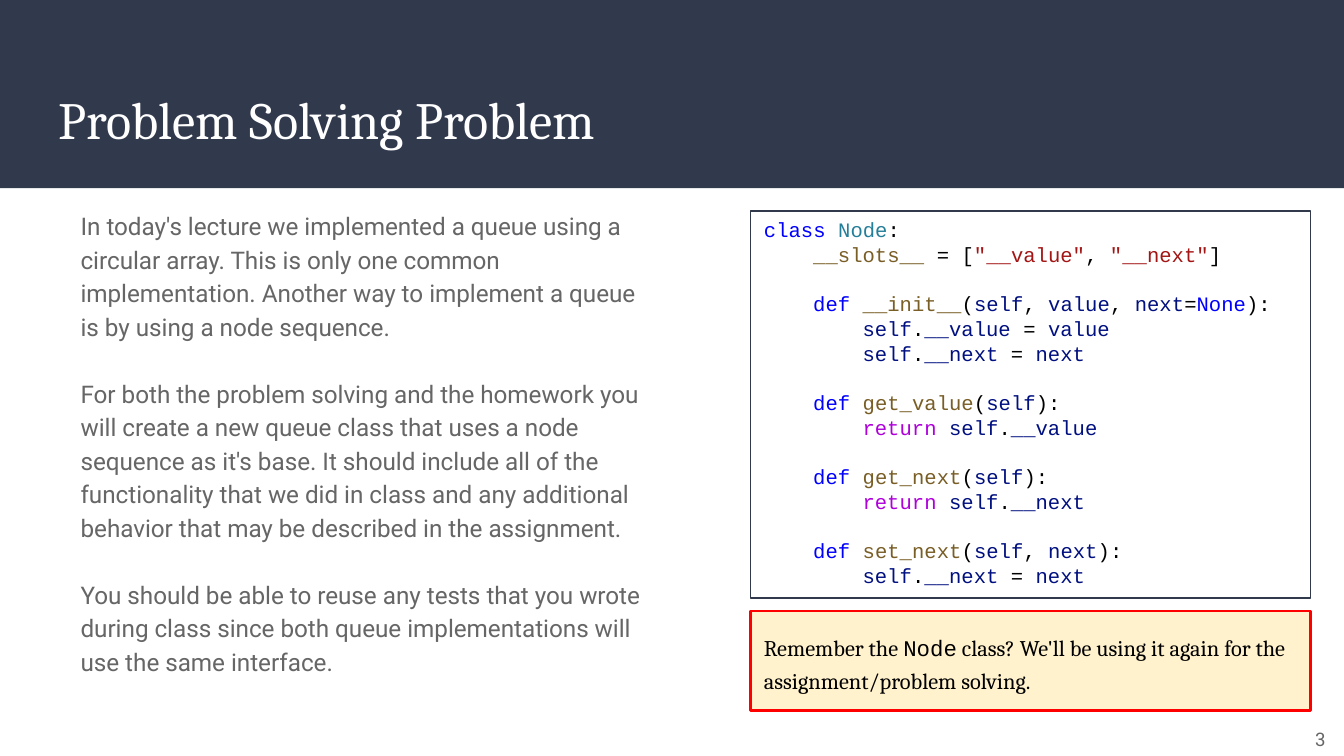
from itertools import groupby

from pptx import Presentation
from pptx.dml.color import RGBColor
from pptx.enum.shapes import MSO_SHAPE
from pptx.enum.text import MSO_ANCHOR, PP_ALIGN
from pptx.util import Pt

RECTANGLE = MSO_SHAPE.RECTANGLE
TOP, MIDDLE = MSO_ANCHOR.TOP, MSO_ANCHOR.MIDDLE
LEFT, RIGHT = PP_ALIGN.LEFT, PP_ALIGN.RIGHT

SERIF, SANS, MONO = "Cambria", "Roboto", "Courier New"

WHITE = RGBColor(0xFF, 0xFF, 0xFF)
BLACK = RGBColor(0x00, 0x00, 0x00)
SLATE = RGBColor(0x31, 0x39, 0x4D)
GREY = RGBColor(0x66, 0x66, 0x66)
CREAM = RGBColor(0xFF, 0xF2, 0xCC)
RED = RGBColor(0xFF, 0x00, 0x00)

# Syntax colours
KEYWORD = RGBColor(0x00, 0x00, 0xFF)
CONTROL = RGBColor(0xAF, 0x00, 0xDB)
CLASS_NAME = RGBColor(0x26, 0x7F, 0x99)
FUNCTION = RGBColor(0x79, 0x5E, 0x26)
VARIABLE = RGBColor(0x00, 0x10, 0x80)
STRING = RGBColor(0xA3, 0x15, 0x15)

SYNTAX = {
    KEYWORD: ("class", "def", "None"),
    CONTROL: ("return",),
    CLASS_NAME: ("Node",),
    FUNCTION: ("__slots__", "__init__", "get_value", "get_next", "set_next"),
    VARIABLE: ("self", "value", "next", "__value", "__next"),
    STRING: ('"__value"', '"__next"'),
}
TOKEN_COLORS = {word: color for color, words in SYNTAX.items() for word in words}

NODE_CODE = """\
class Node:
    __slots__ = ["__value", "__next"]

    def __init__(self, value, next=None):
        self.__value = value
        self.__next = next

    def get_value(self):
        return self.__value

    def get_next(self):
        return self.__next

    def set_next(self, next):
        self.__next = next"""
CODE_SIZE = 11
CODE_CHAR_WIDTH = 0.6 * CODE_SIZE
CODE_LINE = Pt(13.2)

INSTRUCTIONS = (
    "In today's lecture we implemented a queue using a circular array. This is "
    "only one common implementation. Another way to implement a queue is by "
    "using a node sequence.",
    "For both the problem solving and the homework you will create a new queue "
    "class that uses a node sequence as it's base. It should include all of the "
    "functionality that we did in class and any additional behavior that may be "
    "described in the assignment.",
    "You should be able to reuse any tests that you wrote during class since both "
    "queue implementations will use the same interface.",
)


def set_frame(shape, anchor, inset_x=7.2, inset_y=7.2):
    frame = shape.text_frame
    frame.word_wrap = True
    frame.vertical_anchor = anchor
    frame.margin_left = frame.margin_right = Pt(inset_x)
    frame.margin_top = frame.margin_bottom = Pt(inset_y)
    return frame


def set_font(font, name, size, color):
    font.name = name
    font.size = Pt(size)
    font.color.rgb = color


def add_panel(slide, left, top, width, height, fill=None, line=None, weight=0.75):
    panel = slide.shapes.add_shape(RECTANGLE, Pt(left), Pt(top), Pt(width), Pt(height))
    panel.shadow.inherit = False
    if fill is None:
        panel.fill.background()
    else:
        panel.fill.solid()
        panel.fill.fore_color.rgb = fill
    if line is None:
        panel.line.fill.background()
    else:
        panel.line.color.rgb = line
        panel.line.width = Pt(weight)
    return panel


def add_text(slide, left, top, width, height, texts, font, size, color,
             anchor=TOP, align=LEFT):
    box = slide.shapes.add_textbox(Pt(left), Pt(top), Pt(width), Pt(height))
    frame = set_frame(box, anchor)
    for index, text in enumerate(texts):
        paragraph = frame.add_paragraph() if index else frame.paragraphs[0]
        paragraph.text = text
        paragraph.alignment = align
        set_font(paragraph.font, font, size, color)
    return frame


def write_code(frame, code):
    """Write one paragraph per code line, coloured token by token."""
    gap = Pt(0)
    paragraph = frame.paragraphs[0]
    for index, line in enumerate(code.splitlines()):
        source = line.lstrip()
        if not source:
            gap = CODE_LINE
            continue
        if index:
            paragraph = frame.add_paragraph()
        paragraph.alignment = LEFT
        paragraph.line_spacing = CODE_LINE
        paragraph.space_before = gap
        gap = Pt(0)
        indent = (len(line) - len(source)) * CODE_CHAR_WIDTH
        properties = paragraph._p.get_or_add_pPr()
        properties.set("marL", str(int(Pt(indent))))
        properties.set("indent", "0")
        set_font(paragraph.font, MONO, CODE_SIZE, BLACK)
        for _, chars in groupby(source, lambda c: c.isalnum() or c in '_"'):
            run = paragraph.add_run()
            run.text = "".join(chars)
            set_font(run.font, MONO, CODE_SIZE, TOKEN_COLORS.get(run.text, BLACK))


def write_reminder(frame):
    paragraph = frame.paragraphs[0]
    paragraph.alignment = LEFT
    paragraph.line_spacing = 1.25
    for text, font in (
        ("Remember the ", SERIF),
        ("Node", MONO),
        (" class? We'll be using it again for the assignment/problem solving.", SERIF),
    ):
        run = paragraph.add_run()
        run.text = text
        set_font(run.font, font, 12, BLACK)


def main():
    presentation = Presentation()
    presentation.slide_width, presentation.slide_height = Pt(720), Pt(405)
    slide = presentation.slides.add_slide(presentation.slide_layouts[6])

    # Header band, title and page number
    add_panel(slide, 0, 0, 720, 100.8, fill=SLATE)
    add_text(slide, 24.5, 39.6, 671, 49, ["Problem Solving Problem"], SERIF, 28, WHITE)
    add_text(slide, 679, 387.4, 38.2, 16.6, ["3"], SANS, 10, GREY, MIDDLE, RIGHT)

    # Instructions
    instructions = add_text(slide, 24.5, 103.7, 326.5, 288.7, INSTRUCTIONS, SANS, 13, GREY)
    instructions.margin_left = Pt(18.7)
    for paragraph in instructions.paragraphs:
        paragraph.line_spacing = 1.15
        paragraph.space_after = Pt(17.93)

    # Node class listing
    listing = add_panel(slide, 402.2, 113, 299.8, 207.5, line=SLATE)
    write_code(set_frame(listing, TOP, inset_y=3.6), NODE_CODE)

    # Reminder
    reminder = add_panel(slide, 402.2, 327.3, 299.8, 53.5, CREAM, RED, 1.5)
    write_reminder(set_frame(reminder, MIDDLE))

    presentation.save("out.pptx")


if __name__ == "__main__":
    main()
